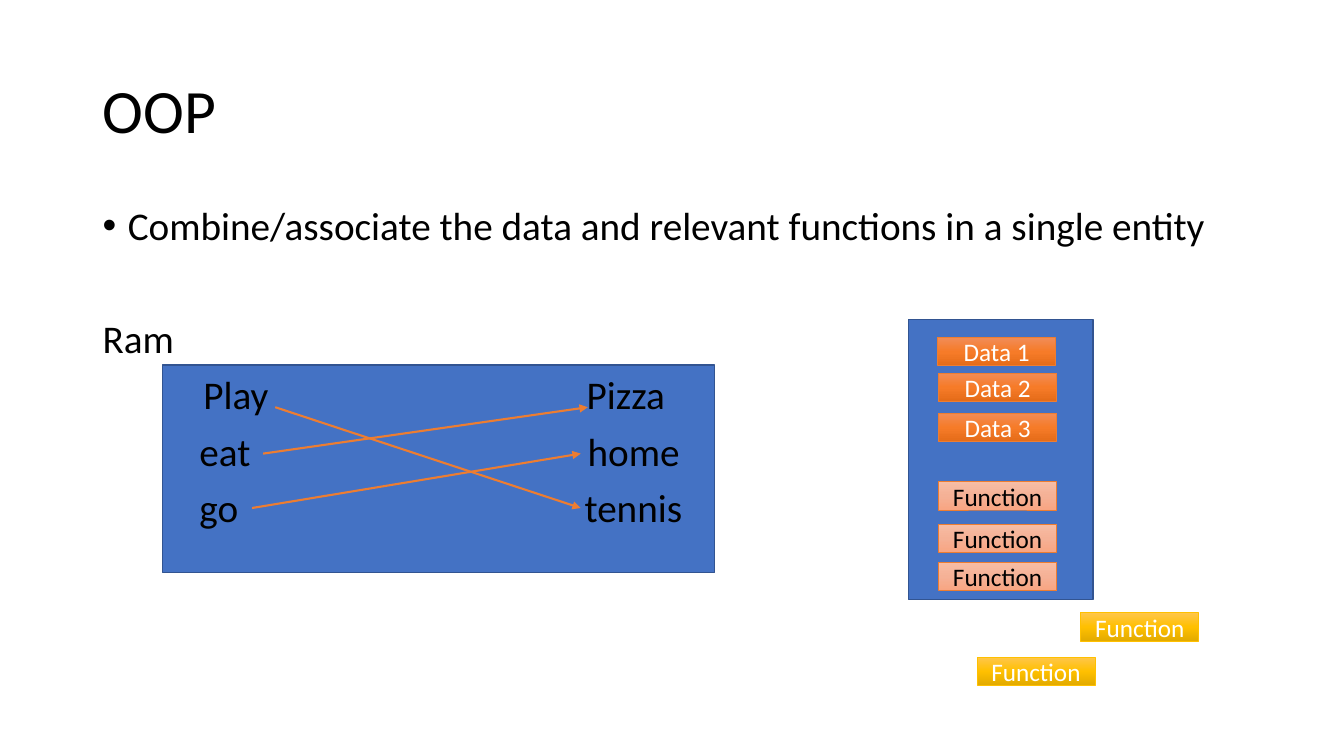
from copy import deepcopy

from lxml import etree
from pptx import Presentation
from pptx import util as u
from pptx.dml.color import RGBColor
from pptx.enum import shapes, text
from pptx.oxml import ns

FONT = "Calibri"
BLACK = RGBColor(0x00, 0x00, 0x00)
WHITE = RGBColor(0xFF, 0xFF, 0xFF)
BLUE = RGBColor(0x44, 0x72, 0xC4)
NAVY = RGBColor(0x32, 0x54, 0x91)
ORANGE = RGBColor(0xED, 0x7D, 0x31)
GOLD = RGBColor(0xFF, 0xC0, 0x00)
ORANGE_BLEND = [RGBColor.from_string(c) for c in ("F18C57", "F67B28", "E56C19")]
PEACH_BLEND = [RGBColor.from_string(c) for c in ("F7BDA5", "F5B196", "F8A582")]
GOLD_BLEND = [RGBColor.from_string(c) for c in ("FFC64B", "FFC000", "E3AB00")]

# Verb and its left edge, object and its left edge, measured inside the text
PAIRS = [
    ("Play", 1.0, "Pizza", 4.8),
    ("eat", 0.96, "home", 4.81),
    ("go", 0.96, "tennis", 4.78),
]
ARROWS = [
    (2.73, 4.04, 5.76, 5.04),
    (2.61, 4.5, 5.83, 4.04),
    (2.5, 5.04, 5.76, 4.5),
]
DATA_CHIPS = [("Data 1", 9.3, 3.35), ("Data 2", 9.31, 3.7), ("Data 3", 9.31, 4.1)]
MEMBER_TOPS = (4.78, 5.2, 5.58)
LOOSE_SPOTS = [(10.72, 6.08), (9.69, 6.52)]


def add_span(para, words, size, color):
    """Add one formatted run to a paragraph."""
    span = para.add_run()
    span.text = words
    span.font.name = FONT
    span.font.size = u.Pt(size)
    span.font.color.rgb = color


def add_box(page, left, top, width, height, edge, weight):
    """Add an outlined rectangle without a shadow."""
    box = page.shapes.add_shape(
        shapes.MSO_SHAPE.RECTANGLE,
        u.Inches(left), u.Inches(top), u.Inches(width), u.Inches(height))
    box.shadow.inherit = False
    box.line.color.rgb = edge
    box.line.width = u.Pt(weight)
    return box


def add_panel(page, left, top, width, height):
    """Add a plain blue panel."""
    panel = add_box(page, left, top, width, height, NAVY, 1)
    panel.fill.solid()
    panel.fill.fore_color.rgb = BLUE


def add_chip(page, label, left, top, blend, edge, color):
    """Add a small labelled box with a three-colour vertical gradient."""
    chip = add_box(page, left, top, 1.17, 0.28, edge, 0.5)
    chip.fill.gradient()
    chip.fill.gradient_angle = 270
    stops = next(chip._element.iter(ns.qn("a:gsLst")))
    stops.insert(1, deepcopy(stops[0]))
    for stop, shade, position in zip(chip.fill.gradient_stops, blend, (0, 0.5, 1)):
        stop.color.rgb = shade
        stop.position = position
    frame = chip.text_frame
    frame.vertical_anchor = text.MSO_ANCHOR.MIDDLE
    para = frame.paragraphs[0]
    para.alignment = text.PP_ALIGN.CENTER
    add_span(para, label, 18, color)


def add_arrow(page, x1, y1, x2, y2):
    """Add an orange line with a triangle head at its end."""
    arrow = page.shapes.add_connector(
        shapes.MSO_CONNECTOR.STRAIGHT,
        u.Inches(x1), u.Inches(y1), u.Inches(x2), u.Inches(y2))
    arrow.line.color.rgb = ORANGE
    arrow.line.width = u.Pt(1.5)
    etree.SubElement(arrow.line._get_or_add_ln(), ns.qn("a:tailEnd"), type="triangle")
    etree.SubElement(arrow._element.spPr, ns.qn("a:effectLst"))


def add_title(page, words):
    """Place and fill the title."""
    title = page.shapes.title
    title.left, title.top = u.Inches(0.92), u.Inches(0.4)
    title.width, title.height = u.Inches(11.5), u.Inches(1.45)
    title.text_frame.vertical_anchor = text.MSO_ANCHOR.MIDDLE
    para = title.text_frame.paragraphs[0]
    para.alignment = text.PP_ALIGN.LEFT
    para.line_spacing = 0.9
    add_span(para, words, 44, BLACK)


def add_line(para, words, before=10):
    """Fill one body paragraph and return its properties element."""
    para.line_spacing = 0.9
    para.space_before = u.Pt(before)
    add_span(para, words, 28, BLACK)
    return para._p.get_or_add_pPr()


def add_body(page):
    """Add the bullet, the name and the tabbed word pairs."""
    box = page.shapes.add_textbox(
        u.Inches(0.92), u.Inches(2), u.Inches(11.5), u.Inches(4.76))
    frame = box.text_frame
    frame.word_wrap = True

    bullet = add_line(
        frame.paragraphs[0],
        "Combine/associate the data and relevant functions in a single entity")
    bullet.set("marL", str(u.Inches(0.25)))
    bullet.set("indent", str(u.Inches(-0.25)))
    etree.SubElement(bullet, ns.qn("a:buFont"), typeface="Arial")
    etree.SubElement(bullet, ns.qn("a:buChar"), char="\u2022")

    add_line(frame.add_paragraph(), "Ram", before=50.5)
    for verb, verb_left, noun, noun_left in PAIRS:
        props = add_line(frame.add_paragraph(), f"\t{verb}\t{noun}")
        tabs = etree.SubElement(props, ns.qn("a:tabLst"))
        for left in (verb_left, noun_left):
            etree.SubElement(
                tabs, ns.qn("a:tab"), pos=str(u.Inches(left)), algn="l")


def main():
    """Build and save the slide."""
    deck = Presentation()
    deck.slide_width, deck.slide_height = u.Inches(13.33), u.Inches(7.5)
    page = deck.slides.add_slide(deck.slide_layouts[5])

    add_title(page, "OOP")
    add_panel(page, 9.01, 3.17, 1.83, 2.78)
    add_panel(page, 1.61, 3.62, 5.48, 2.06)
    add_body(page)
    for ends in ARROWS:
        add_arrow(page, *ends)
    for label, left, top in DATA_CHIPS:
        add_chip(page, label, left, top, ORANGE_BLEND, ORANGE, WHITE)
    for top in MEMBER_TOPS:
        add_chip(page, "Function", 9.31, top, PEACH_BLEND, ORANGE, BLACK)
    for left, top in LOOSE_SPOTS:
        add_chip(page, "Function", left, top, GOLD_BLEND, GOLD, WHITE)

    deck.save("out.pptx")


main()
